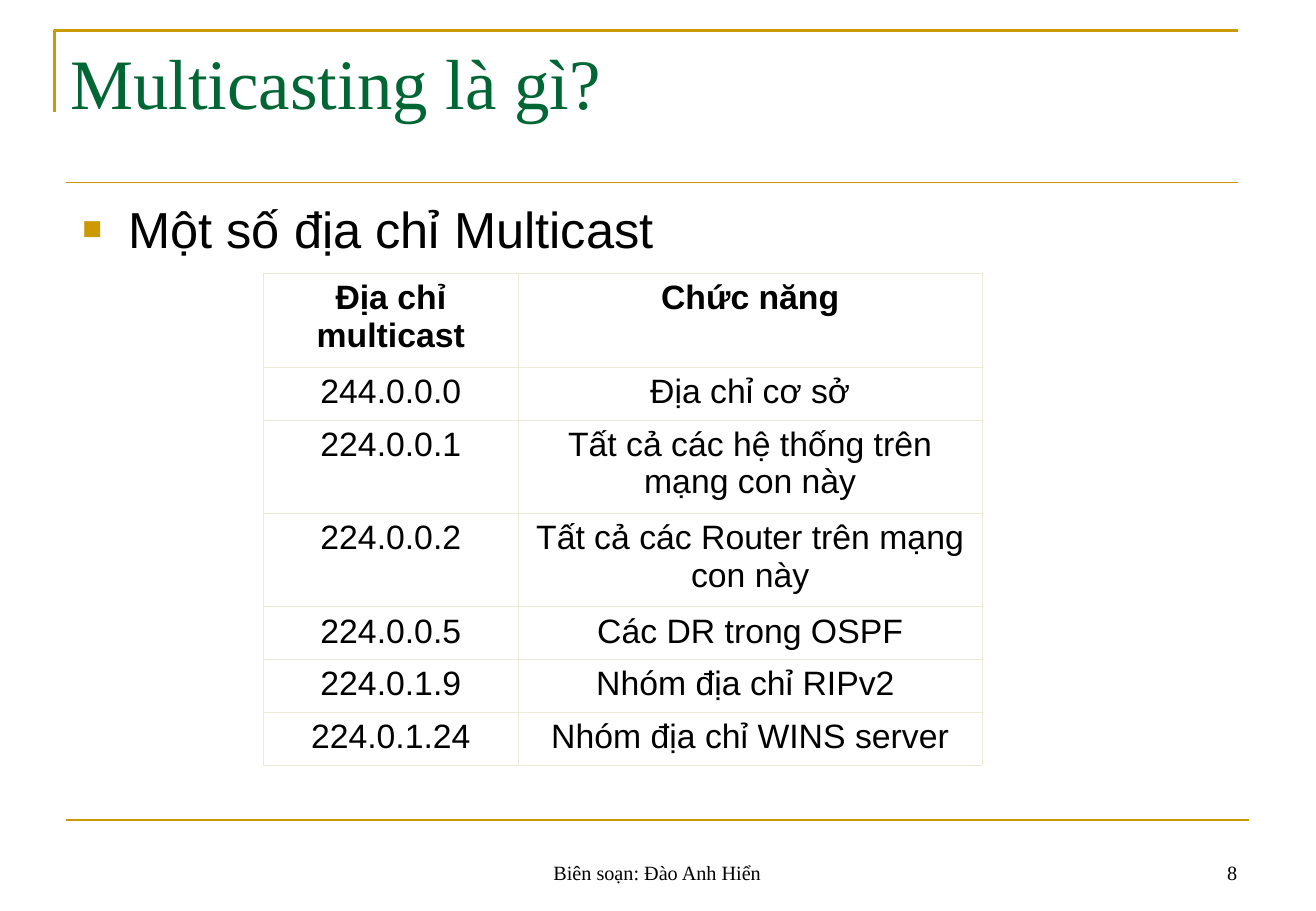
from dataclasses import dataclass
from lxml.etree import SubElement
from pptx import Presentation
from pptx.dml.color import RGBColor
from pptx.enum.shapes import MSO_CONNECTOR
from pptx.enum.text import MSO_ANCHOR, PP_ALIGN
from pptx.oxml.ns import qn
from pptx.util import Inches, Pt

COLS, ROWS = 108.4, 75
WIDE, HIGH = Inches(10.84), Inches(7.5)


@dataclass(frozen=True)
class Theme:
    gold: str = "CC9900"
    green: str = "006633"
    ink: str = "000000"
    grid: str = "ECE9D8"
    serif: str = "Times New Roman"
    sans: str = "Arial"
    title: int = 42
    body: int = 30
    cell: int = 20
    foot: int = 12
    thick: float = 1.5
    thin: float = 0.75
    hair: float = 0.06


@dataclass(frozen=True)
class Box:
    x: float
    y: float
    w: float
    h: float

    def inner(self, x, y, w, h):
        return Box(self.x + x, self.y + y, w, h)

    def point(self, x, y):
        return across(self.x + x), down(self.y + y)

    def frame(self):
        return across(self.x), down(self.y), across(self.w), down(self.h)


THEME = Theme()
TABLE = [
    ("Địa chỉ multicast", "Chức năng"),
    ("244.0.0.0", "Địa chỉ cơ sở"),
    ("224.0.0.1", "Tất cả các hệ thống trên mạng con này"),
    ("224.0.0.2", "Tất cả các Router trên mạng con này"),
    ("224.0.0.5", "Các DR trong OSPF"),
    ("224.0.1.9", "Nhóm địa chỉ RIPv2 "),
    ("224.0.1.24", "Nhóm địa chỉ WINS server"),
]
SHORT, TALL = 4.35, 7.7
HEIGHTS = [TALL, SHORT, TALL, TALL, SHORT, SHORT, SHORT]
WIDTHS = [21, 38.2]


def across(cols):
    return round(WIDE * cols / COLS)


def down(rows):
    return round(HIGH * rows / ROWS)


def style(para, face, size, color, align=PP_ALIGN.LEFT, bold=False):
    para.alignment = align
    font = para.font
    font.name, font.size, font.bold = face, Pt(size), bold
    font.color.rgb = RGBColor.from_string(color)


def write(slide, box, text, anchor=MSO_ANCHOR.TOP):
    frame = slide.shapes.add_textbox(*box.frame()).text_frame
    frame.word_wrap = True
    frame.vertical_anchor = anchor
    frame.text = text
    return frame.paragraphs[0]


def rule(slide, start, end, width):
    line = slide.shapes.add_connector(MSO_CONNECTOR.STRAIGHT, *start, *end)
    line.line.color.rgb = RGBColor.from_string(THEME.gold)
    line.line.width = Pt(width)
    SubElement(line._element.spPr, qn("a:effectLst"))


def bullet(para):
    props = para._p.get_or_add_pPr()
    props.set("marL", str(Inches(0.38)))
    props.set("indent", str(-Inches(0.38)))
    color = SubElement(props, qn("a:buClr"))
    SubElement(color, qn("a:srgbClr"), val=THEME.gold)
    SubElement(props, qn("a:buSzPct"), val="65000")
    SubElement(props, qn("a:buFont"), typeface=THEME.sans)
    SubElement(props, qn("a:buChar"), char="■")


def border(cell):
    props = cell._tc.get_or_add_tcPr()
    for side in ("lnL", "lnR", "lnT", "lnB"):
        line = SubElement(props, qn(f"a:{side}"), w=str(Pt(THEME.hair)))
        fill = SubElement(line, qn("a:solidFill"))
        SubElement(fill, qn("a:srgbClr"), val=THEME.grid)


def header(slide, box):
    pen = slide.shapes.build_freeform(*box.point(0, 6.7))
    pen.add_line_segments([box.point(0, 0), box.point(box.w, 0)], close=False)
    corner = pen.convert_to_shape()
    corner.shadow.inherit = False
    corner.fill.background()
    corner.line.color.rgb = RGBColor.from_string(THEME.gold)
    corner.line.width = Pt(THEME.thick)
    rule(slide, box.point(0.9, box.h), box.point(box.w, box.h), THEME.thin)
    title = write(slide, box.inner(0.3, 0.2, box.w, box.h), "Multicasting là gì?")
    style(title, THEME.serif, THEME.title, THEME.green)


def content(slide, box):
    topic = write(slide, box, "Một số địa chỉ Multicast")
    bullet(topic)
    style(topic, THEME.sans, THEME.body, THEME.ink)
    grid(slide, box.inner(15.9, 6.7, sum(WIDTHS), sum(HEIGHTS)))


def grid(slide, box):
    table = slide.shapes.add_table(len(TABLE), len(WIDTHS), *box.frame()).table
    table.first_row = table.horz_banding = False
    for col, width in zip(table.columns, WIDTHS):
        col.width = across(width)
    for i, (row, height) in enumerate(zip(table.rows, HEIGHTS)):
        row.height = down(height)
        for cell, text in zip(row.cells, TABLE[i]):
            cell.text = text
            border(cell)
            cell.fill.background()
            style(cell.text_frame.paragraphs[0], THEME.sans, THEME.cell,
                  THEME.ink, PP_ALIGN.CENTER, i == 0)


def footer(slide, box):
    rule(slide, box.point(0, 0), box.point(box.w, 0), THEME.thick)
    for x, width, text, align in (
        (31.6, 34.3, "Biên soạn: Đào Anh Hiển", PP_ALIGN.CENTER),
        (72.2, 25.3, "8", PP_ALIGN.RIGHT),
    ):
        note = write(slide, box.inner(x, 0.8, width, 5), text, MSO_ANCHOR.BOTTOM)
        style(note, THEME.serif, THEME.foot, THEME.ink, align)


def main():
    deck = Presentation()
    deck.slide_width, deck.slide_height = WIDE, HIGH
    slide = deck.slides.add_slide(deck.slide_layouts[6])
    header(slide, Box(4.5, 2.5, 97.5, 12.5))
    content(slide, Box(5.8, 15.8, 97.5, 49.5))
    footer(slide, Box(5.4, 67.5, 97.5, 5.8))
    deck.save("out.pptx")


if __name__ == "__main__":
    main()
